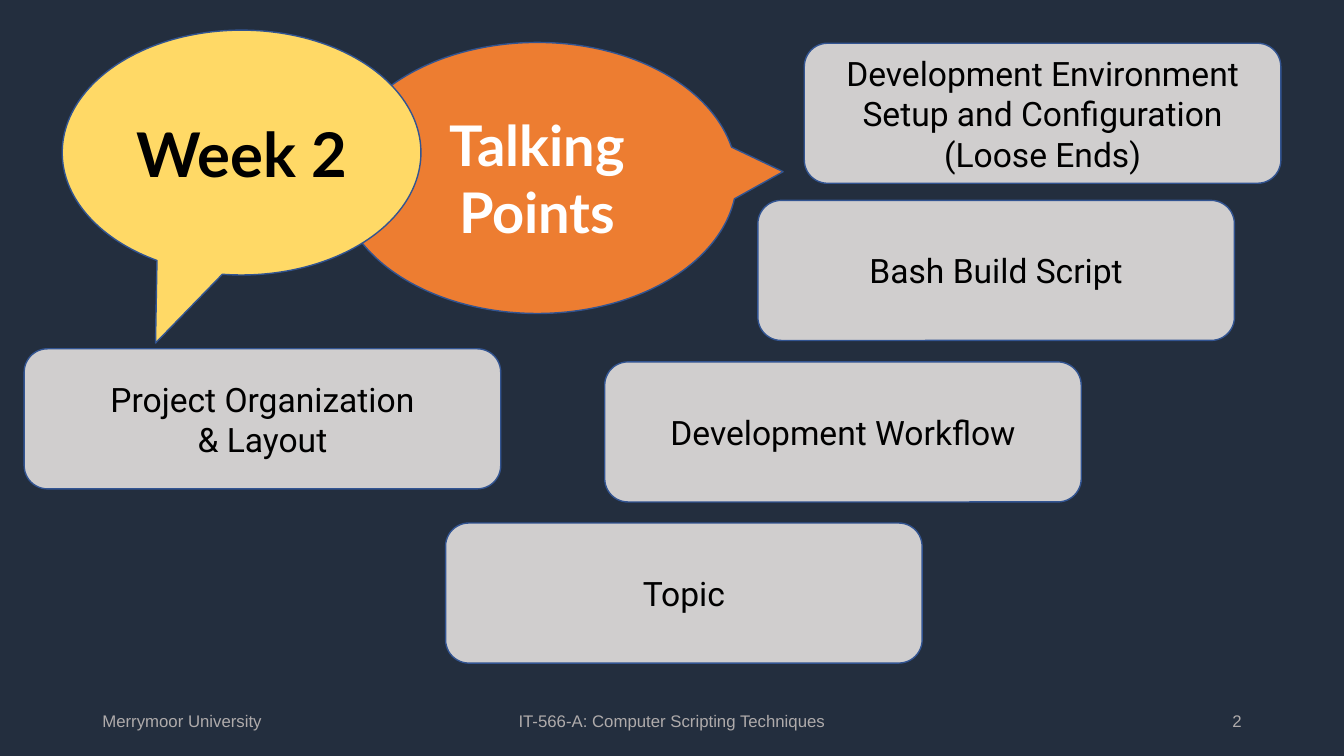
import dataclasses

import pptx
import pptx.dml.color
import pptx.enum.shapes
import pptx.enum.text
import pptx.util

Cm = pptx.util.Cm
Pt = pptx.util.Pt
RGB = pptx.dml.color.RGBColor.from_string
Align = pptx.enum.text.PP_ALIGN
Kind = pptx.enum.shapes.MSO_SHAPE


@dataclasses.dataclass(frozen=True)
class Style:
    size: int
    font: str
    color: str
    bold: bool = False


@dataclasses.dataclass(frozen=True)
class Theme:
    back: str = "232E3E"
    edge: str = "325491"
    sun: str = "FFD966"
    orange: str = "ED7D31"
    card: str = "D0CECE"
    week: Style = Style(44, "Lato", "000000", True)
    talk: Style = Style(40, "Lato", "FFFFFF", True)
    topic: Style = Style(24, "Roboto", "000000")
    foot: Style = Style(12, "Arial", "AFABAB")


THEME = Theme()
CARD = (12.01, 3.53)
TOPICS = [
    ("Development Environment\nSetup and Configuration\n(Loose Ends)", 20.27, 1.09),
    ("Project Organization\n& Layout", 0.61, 8.79),
    ("Bash Build Script", 19.1, 5.05),
    ("Topic", 11.23, 13.18),
    ("Development Workflow", 15.24, 9.12),
]


def write(shape, text, style, align=Align.CENTER):
    frame = shape.text_frame
    frame.word_wrap = True
    frame.auto_size = pptx.enum.text.MSO_AUTO_SIZE.NONE
    frame.vertical_anchor = pptx.enum.text.MSO_ANCHOR.MIDDLE
    para = frame.paragraphs[0]
    para.text = text
    para.alignment = align
    for run in para.runs:
        run.font.size = Pt(style.size)
        run.font.name = style.font
        run.font.bold = style.bold
        run.font.color.rgb = RGB(style.color)


def draw(slide, kind, box, fill):
    shape = slide.shapes.add_shape(kind, *map(Cm, box))
    shape.shadow.inherit = False
    shape.fill.solid()
    shape.fill.fore_color.rgb = RGB(fill)
    shape.line.color.rgb = RGB(THEME.edge)
    shape.line.width = Pt(1)
    return shape


def bubble(slide, box, fill, tip):
    shape = draw(slide, Kind.OVAL_CALLOUT, box, fill)
    shape.adjustments[0], shape.adjustments[1] = tip
    return shape


def header(slide, box):
    left, top, width, height = box
    talk = bubble(slide, (left + 6.94, top + 0.31, 10.06, 6.83),
                  THEME.orange, (0.616, -0.023))
    write(talk, "Talking Points", THEME.talk)
    week = bubble(slide, (left, top, 9.04, 6.17), THEME.sun, (-0.24, 0.778))
    title = slide.shapes.title
    title.left, title.top = week.left, week.top
    title.width, title.height = week.width, week.height
    write(title, "Week 2", THEME.week)
    week._element.addnext(title._element)


def topics(slide, box):
    for text, left, top in TOPICS:
        place = (box[0] + left, box[1] + top, *CARD)
        card = draw(slide, Kind.ROUNDED_RECTANGLE, place, THEME.card)
        write(card, text, THEME.topic)


def footer(slide, box):
    left, top, width, height = box
    side, mid = 7.62, 11.43
    parts = [
        ("Merrymoor University", left, side, Align.LEFT),
        ("IT-566-A: Computer Scripting Techniques",
         left + (width - mid) / 2, mid, Align.CENTER),
        ("2", left + width - side, side, Align.RIGHT),
    ]
    for text, x, wide, align in parts:
        area = slide.shapes.add_textbox(Cm(x), Cm(top), Cm(wide), Cm(height))
        write(area, text, THEME.foot, align)


def main():
    deck = pptx.Presentation()
    deck.slide_width, deck.slide_height = Cm(33.87), Cm(19.05)
    slide = deck.slides.add_slide(deck.slide_layouts[5])
    slide.background.fill.solid()
    slide.background.fill.fore_color.rgb = RGB(THEME.back)
    footer(slide, (2.33, 17.65, 29.21, 1.02))
    header(slide, (1.57, 0.76, 17, 7.14))
    topics(slide, (0, 0, 33.87, 17.65))
    deck.save("out.pptx")


if __name__ == "__main__":
    main()
